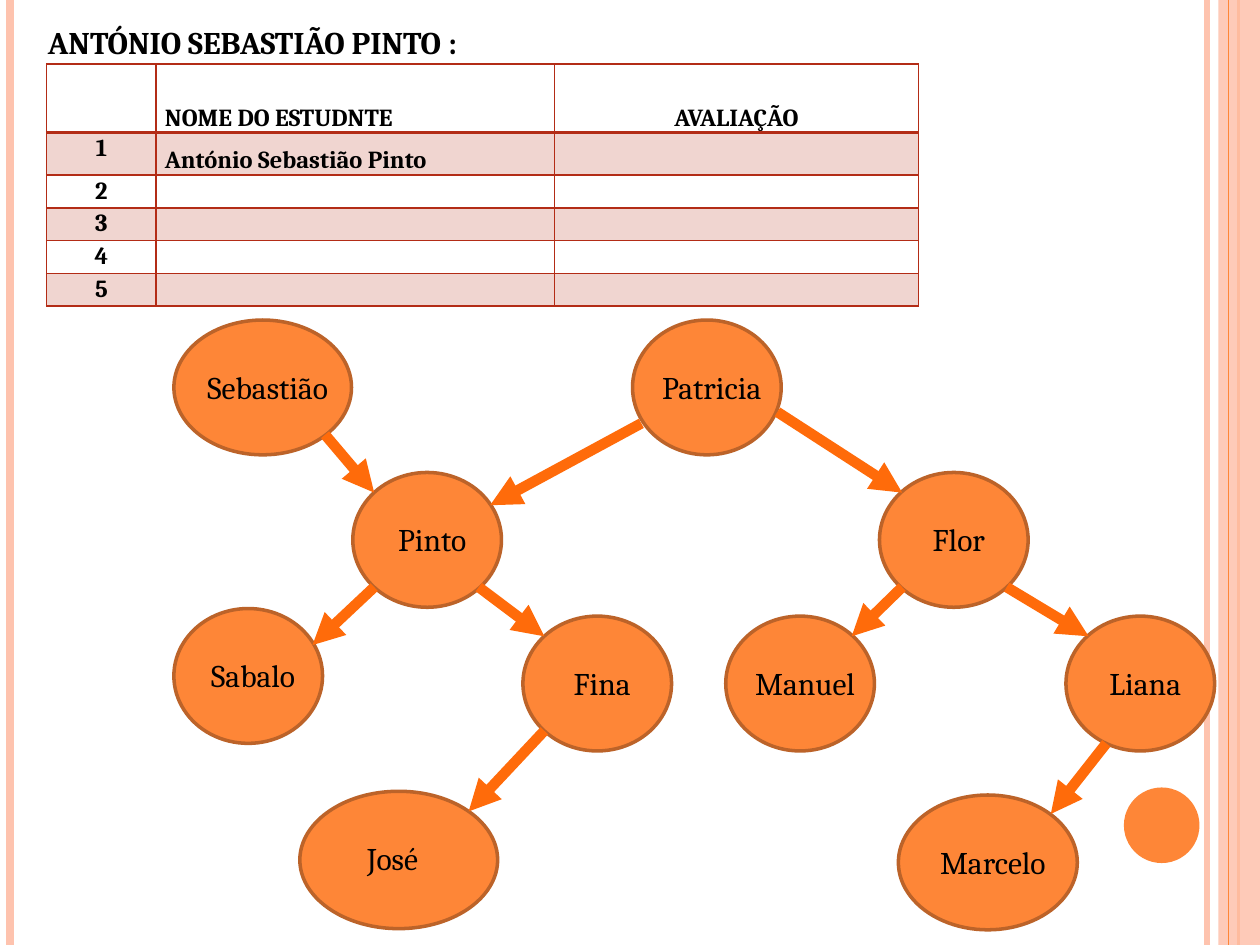
"""Build a slide with a student table and a family tree."""
from dataclasses import dataclass

from lxml import etree
from pptx import Presentation
from pptx.dml.color import RGBColor
from pptx.enum.shapes import MSO_CONNECTOR, MSO_SHAPE
from pptx.enum.text import MSO_ANCHOR, MSO_AUTO_SIZE, PP_ALIGN
from pptx.oxml.ns import qn
from pptx.util import Inches, Pt

LINE = MSO_CONNECTOR.STRAIGHT
OVAL, RECT = MSO_SHAPE.OVAL, MSO_SHAPE.RECTANGLE
TOP, BASE = MSO_ANCHOR.TOP, MSO_ANCHOR.BOTTOM
LEFT, MID, FULL = PP_ALIGN.LEFT, PP_ALIGN.CENTER, PP_ALIGN.JUSTIFY
FIXED = MSO_AUTO_SIZE.NONE


@dataclass(frozen=True)
class Theme:
    font: str = "Cambria"
    ink: str = "000000"
    pale: str = "FEC3AE"
    main: str = "FE8637"
    rim: str = "BC6329"
    arrow: str = "FF6B0A"
    grid: str = "B32C16"
    band: str = "F0D5D0"
    large: float = 18
    small: float = 14


@dataclass(frozen=True)
class Node:
    name: str
    left: float
    top: float
    width: float = 1.18
    height: float = 1.07
    shift: float = 0.04


@dataclass(frozen=True)
class Stroke:
    start: tuple[float, float]
    end: tuple[float, float]
    color: str
    width: float
    head: bool = False


THEME = Theme()
RULES = [Stroke((x, 0), (x, 7.5), color, width) for x, color, width in (
    (9.58, THEME.pale, 3), (0.08, THEME.pale, 4.5),
    (9.83, THEME.main, 1.5))]
EDGE = Stroke((9.75, 0), (9.75, 7.5), THEME.main, 0.75)
NODES = [
    Node("Sebastião", 1.38, 2.54, 1.41),
    Node("Pinto", 2.8, 3.75),
    Node("Sabalo", 1.38, 4.83),
    Node("Fina", 4.15, 4.89),
    Node("Patricia", 5.02, 2.54),
    Node("Flor", 6.98, 3.75),
    Node("Liana", 8.46, 4.89),
    Node("Manuel", 5.76, 4.89),
    Node("Marcelo", 7.13, 6.31, 1.42),
    Node("José", 2.38, 6.28, 1.57, 1.09, -0.05),
]
LINKS = [Stroke(start, end, THEME.arrow, 6, True) for start, end in (
    ((2.58, 3.45), (2.97, 3.91)), ((2.97, 4.66), (2.48, 5.12)),
    ((3.8, 4.66), (4.32, 5.05)), ((5.09, 3.36), (3.89, 4.01)),
    ((6.17, 3.27), (7.16, 3.91)), ((7.99, 4.66), (8.64, 5.05)),
    ((7.16, 4.66), (6.76, 5.05)), ((8.78, 5.9), (8.34, 6.46)),
    ((4.32, 5.8), (3.72, 6.44)))]
COLS = (0.87, 3.16, 2.89)
ROWS = (0.54, 0.34, 0.26, 0.26, 0.26, 0.26)
CELLS = [("", "NOME DO ESTUDNTE", "AVALIAÇÃO"),
         ("1", "António Sebastião Pinto", "")]
CELLS += [(str(num), "", "") for num in range(2, 6)]


def apply(item, values: dict) -> None:
    """Set each named attribute on an item."""
    for key, value in values.items():
        setattr(item, key, value)


def write(frame, text: str, size: float, align, bold: bool = False):
    """Write one styled paragraph and return it."""
    para = frame.paragraphs[0]
    para.alignment = align
    if text:
        run = para.add_run()
        run.text = text
        apply(run.font, {"name": THEME.font, "size": Pt(size), "bold": bold})
        run.font.color.rgb = RGBColor.from_string(THEME.ink)
    else:
        end = etree.SubElement(para._p, qn("a:endParaRPr"))
        end.set("sz", str(int(size * 100)))
    return para


def draw_line(shapes, item: Stroke) -> None:
    """Draw a rule or an arrow."""
    ends = [Inches(v) for v in (*item.start, *item.end)]
    line = shapes.add_connector(LINE, *ends)
    line.line.color.rgb = RGBColor.from_string(item.color)
    line.line.width = Pt(item.width)
    if item.head:
        tail = etree.SubElement(line.line._get_or_add_ln(), qn("a:tailEnd"))
        tail.set("type", "triangle")
    etree.SubElement(line._element.spPr, qn("a:effectLst"))


def draw_shape(shapes, kind, box: tuple, color: str, rim: str = ""):
    """Draw a filled shape with an optional rim."""
    shape = shapes.add_shape(kind, *map(Inches, box))
    shape.shadow.inherit = False
    shape.fill.solid()
    shape.fill.fore_color.rgb = RGBColor.from_string(color)
    if rim:
        shape.line.color.rgb = RGBColor.from_string(rim)
        shape.line.width = Pt(2)
    else:
        shape.line.fill.background()
    return shape


def draw_node(shapes, node: Node) -> None:
    """Draw an oval and its name as a group."""
    group = shapes.add_group_shape().shapes
    box = (node.left, node.top, node.width, node.height)
    draw_shape(group, OVAL, box, THEME.main, THEME.rim)
    wide = node.width + 0.08
    left = node.left + node.width / 2 + node.shift - wide / 2
    label = group.add_textbox(*map(Inches, (left, node.top + 0.33, wide, 0.4)))
    label.text_frame.word_wrap = True
    write(label.text_frame, node.name, THEME.large, MID)


def draw_sides(cell, base: float) -> None:
    """Put borders on a cell ahead of its fill."""
    props = cell._tc.get_or_add_tcPr()
    sides = {"lnL": 1, "lnR": 1, "lnT": 1, "lnB": base}
    for spot, (side, width) in enumerate(sides.items()):
        line = etree.Element(qn(f"a:{side}"), w=str(Pt(width)))
        fill = etree.SubElement(line, qn("a:solidFill"))
        etree.SubElement(fill, qn("a:srgbClr"), val=THEME.grid)
        props.insert(spot, line)


def draw_table(shapes) -> None:
    """Draw the student table."""
    box = map(Inches, (0.37, 0.51, sum(COLS), sum(ROWS)))
    table = shapes.add_table(len(ROWS), len(COLS), *box).table
    for col, width in zip(table.columns, COLS):
        col.width = Inches(width)
    for row, height in zip(table.rows, ROWS):
        row.height = Inches(height)
    for y, texts in enumerate(CELLS):
        for x, text in enumerate(texts):
            cell = table.cell(y, x)
            apply(cell, {
                "margin_left": Inches(0.07), "margin_right": Inches(0.07),
                "margin_top": 0, "margin_bottom": 0,
                "vertical_anchor": BASE if y == 0 or x == 1 else TOP})
            if y % 2:
                cell.fill.solid()
                cell.fill.fore_color.rgb = RGBColor.from_string(THEME.band)
            else:
                cell.fill.background()
            para = write(cell.text_frame, text, THEME.small,
                         LEFT if x == 1 else MID, True)
            para.line_spacing = 1.07
            draw_sides(cell, 1 if y else 2)


def draw_title(title) -> None:
    """Place and format the title."""
    apply(title, {"left": Inches(0.28), "top": Inches(0.13),
                  "width": Inches(8.19), "height": Inches(0.4)})
    apply(title.text_frame, {"word_wrap": True, "auto_size": FIXED,
                             "vertical_anchor": TOP})
    write(title.text_frame, "ANTÓNIO SEBASTIÃO PINTO :", THEME.large, FULL, True)


def main() -> None:
    """Build and save the slide."""
    deck = Presentation()
    apply(deck, {"slide_width": Inches(10), "slide_height": Inches(7.5)})
    shapes = deck.slides.add_slide(deck.slide_layouts[5]).shapes
    draw_title(shapes.title)
    for rule in RULES:
        draw_line(shapes, rule)
    strip = draw_shape(shapes, RECT, (9.67, 0, 0.33, 7.5), THEME.pale)
    tint = strip._element.spPr.find(f".//{qn('a:srgbClr')}")
    etree.SubElement(tint, qn("a:alpha"), val="87000")
    draw_line(shapes, EDGE)
    draw_shape(shapes, OVAL, (8.92, 6.25, 0.6, 0.6), THEME.main)
    draw_table(shapes)
    for node in NODES:
        draw_node(shapes, node)
    for link in LINKS:
        draw_line(shapes, link)
    deck.save("out.pptx")


main()
